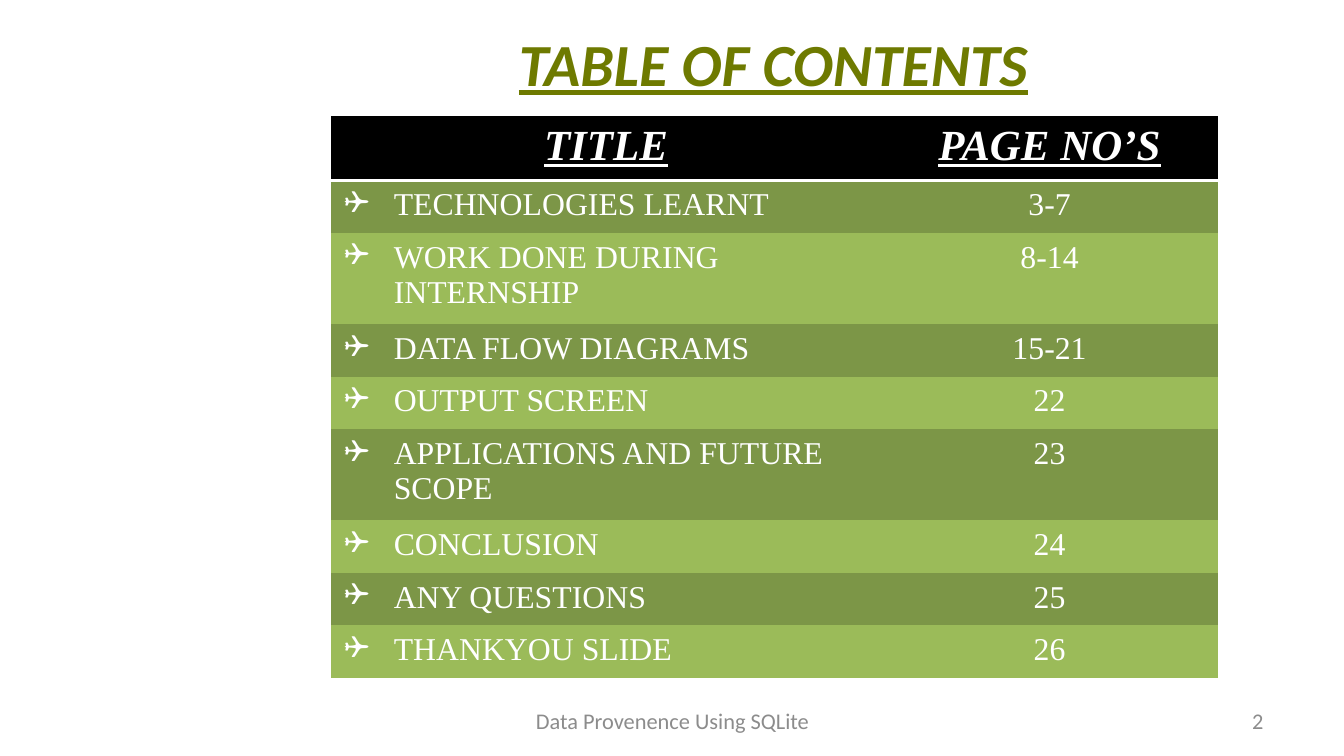
from lxml import etree
from pptx import Presentation
from pptx.dml.color import RGBColor
from pptx.enum import text
from pptx.oxml import ns
from pptx.util import Inches, Pt

WHITE, GREY, OLIVE, BLACK = "FFFFFF", "8C8C8C", "6E7A00", "000000"
BANDS = ["7C9647", "9BBB59"]
NO_STYLE = "{2D5ABB26-0587-4C30-8999-92F81FD0307C}"
SERIF = "Times New Roman"
LEFT, CENTER = text.PP_ALIGN.LEFT, text.PP_ALIGN.CENTER
RIGHT, JUSTIFY = text.PP_ALIGN.RIGHT, text.PP_ALIGN.JUSTIFY
HEADER = ["TITLE", "PAGE NO’S"]
CONTENTS = [
    ("TECHNOLOGIES LEARNT", "3-7", LEFT, 0.39),
    ("WORK DONE DURING INTERNSHIP", "8-14", LEFT, 0.68),
    ("DATA FLOW DIAGRAMS", "15-21", LEFT, 0.39),
    ("OUTPUT SCREEN", "22", JUSTIFY, 0.39),
    ("APPLICATIONS AND FUTURE SCOPE", "23", LEFT, 0.68),
    ("CONCLUSION", "24", JUSTIFY, 0.39),
    ("ANY QUESTIONS", "25", JUSTIFY, 0.39),
    ("THANKYOU SLIDE", "26", JUSTIFY, 0.39),
]


def rgb(value):
    return RGBColor.from_string(value)


def write(tf, words, size, font, color, align, strong=False):
    tf.text = words
    p = tf.paragraphs[0]
    p.alignment = align
    f = p.runs[0].font
    f.size, f.name = Pt(size), font
    f.color.rgb = rgb(color)
    f.bold = f.italic = f.underline = strong
    return p


def add_text(s, box, words, size, color, align, strong=False):
    tf = s.shapes.add_textbox(*map(Inches, box)).text_frame
    tf.word_wrap = True
    tf.vertical_anchor = text.MSO_ANCHOR.MIDDLE
    write(tf, words, size, "Calibri", color, align, strong)


def add_bullet(p, char):
    pPr = p._p.get_or_add_pPr()
    pPr.set("marL", str(Inches(0.37)))
    pPr.set("indent", str(-Inches(0.37)))
    etree.SubElement(pPr, ns.qn("a:buFont")).set("typeface", "Wingdings")
    etree.SubElement(pPr, ns.qn("a:buChar")).set("char", char)


def add_bottom_border(cell, color, width):
    ln = etree.Element(ns.qn("a:lnB"), w=str(Pt(width)))
    fill = etree.SubElement(ln, ns.qn("a:solidFill"))
    etree.SubElement(fill, ns.qn("a:srgbClr")).set("val", color)
    cell._tc.get_or_add_tcPr().insert(0, ln)


def fill_cell(cell, color, words, size, align, strong=False):
    cell.fill.solid()
    cell.fill.fore_color.rgb = rgb(color)
    return write(cell.text_frame, words, size, SERIF, WHITE, align, strong)


def add_contents(s):
    box = map(Inches, (2.46, 0.86, 6.6, 4.19))
    table = s.shapes.add_table(len(CONTENTS) + 1, 2, *box).table
    table.horz_banding = False
    table._tbl.tblPr.find(ns.qn("a:tableStyleId")).text = NO_STYLE
    for column, width in zip(table.columns, (4.1, 2.5)):
        column.width = Inches(width)

    table.rows[0].height = Inches(0.48)
    for cell, words in zip(table.rows[0].cells, HEADER):
        fill_cell(cell, BLACK, words, 23, CENTER, True)
        add_bottom_border(cell, WHITE, 2)

    for i, (title, pages, align, height) in enumerate(CONTENTS):
        table.rows[i + 1].height = Inches(height)
        color = BANDS[i % 2]
        p = fill_cell(table.cell(i + 1, 0), color, title, 17, align)
        add_bullet(p, "❑")
        fill_cell(table.cell(i + 1, 1), color, pages, 17, CENTER)


def main():
    prs = Presentation()
    prs.slide_width = Inches(10)
    prs.slide_height = prs.slide_width * 9 // 16
    s = prs.slides.add_slide(prs.slide_layouts[6])
    add_text(s, (2.35, 0.07, 6.81, 0.79), "TABLE OF CONTENTS", 32, OLIVE, CENTER, True)
    add_contents(s)
    add_text(s, (3.42, 5.21, 3.17, 0.3), "Data Provenence Using SQLite", 12, GREY, CENTER)
    add_text(s, (7.17, 5.21, 2.33, 0.3), "2", 12, GREY, RIGHT)
    prs.save("out.pptx")


if __name__ == "__main__":
    main()
